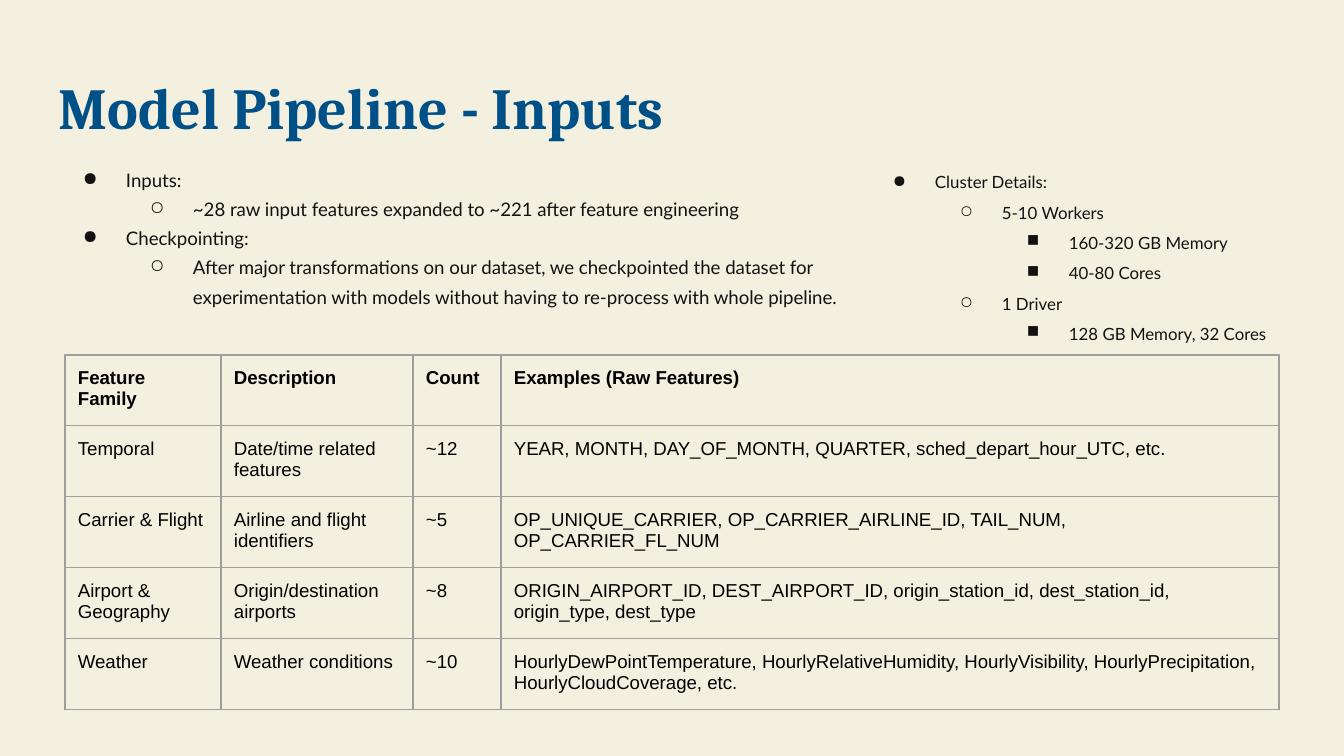
from dataclasses import dataclass

from lxml import etree
from pptx import Presentation
from pptx.dml.color import RGBColor
from pptx.enum.text import MSO_ANCHOR
from pptx.oxml.ns import qn
from pptx.util import Emu, Pt

TOP = MSO_ANCHOR.TOP
EMU_PER_PX = 914400 / 134.4
BULLETS = "●○■"
LEVEL_STEP = 67
CELL_MARGIN = 13


@dataclass(frozen=True)
class Theme:
    background: str = "F3F0DF"
    heading: str = "005088"
    body: str = "121212"
    table_text: str = "000000"
    grid: str = "9E9E9E"
    grid_width: float = 0.75
    heading_font: str = "Cambria"
    body_font: str = "Lato"
    table_font: str = "Arial"
    heading_size: float = 31.1
    body_size: float = 10
    cluster_size: float = 9


THEME = Theme()

INPUT_NOTES = [
    (0, "Inputs:"),
    (1, "~28 raw input features expanded to ~221 after feature engineering"),
    (0, "Checkpointing:"),
    (1, "After major transformations on our dataset, we checkpointed the dataset for "
        "experimentation with models without having to re-process with whole pipeline."),
]
CLUSTER_NOTES = [
    (0, "Cluster Details:"),
    (1, "5-10 Workers"),
    (2, "160-320 GB Memory"),
    (2, "40-80 Cores"),
    (1, "1 Driver"),
    (2, "128 GB Memory, 32 Cores"),
]
FEATURE_COLUMNS = [156, 192, 88, 778]
FEATURE_ROW_HEIGHT = 67
FEATURES = [
    ("Feature Family", "Description", "Count", "Examples (Raw Features)"),
    ("Temporal", "Date/time related features", "~12",
     "YEAR, MONTH, DAY_OF_MONTH, QUARTER, sched_depart_hour_UTC, etc."),
    ("Carrier & Flight", "Airline and flight identifiers", "~5",
     "OP_UNIQUE_CARRIER, OP_CARRIER_AIRLINE_ID, TAIL_NUM, OP_CARRIER_FL_NUM"),
    ("Airport & Geography", "Origin/destination airports", "~8",
     "ORIGIN_AIRPORT_ID, DEST_AIRPORT_ID, origin_station_id, dest_station_id, "
     "origin_type, dest_type"),
    ("Weather", "Weather conditions", "~10",
     "HourlyDewPointTemperature, HourlyRelativeHumidity, HourlyVisibility, "
     "HourlyPrecipitation, HourlyCloudCoverage, etc."),
]


def px(length):
    return Emu(round(length * EMU_PER_PX))


def apply_format(target, values):
    for name, value in values.items():
        setattr(target, name, value)


def margins():
    return {f"margin_{side}": px(CELL_MARGIN) for side in ("left", "top", "right", "bottom")}


def write(paragraph, text, font, size, color, bold=False):
    run = paragraph.add_run()
    run.text = text
    apply_format(run.font, {"name": font, "size": Pt(size), "bold": bold})
    run.font.color.rgb = RGBColor.from_string(color)


def add_text_frame(slide, left, top, width, height):
    frame = slide.shapes.add_textbox(px(left), px(top), px(width), px(height)).text_frame
    apply_format(frame, {"word_wrap": True, "vertical_anchor": TOP, **margins()})
    return frame


def add_heading(slide, text):
    heading = add_text_frame(slide, 46, 66, 1253, 84).paragraphs[0]
    heading.line_spacing = 0.9
    write(heading, text, THEME.heading_font, THEME.heading_size, THEME.heading, True)


def set_bullet(paragraph, level, hang):
    paragraph.level = level
    properties = paragraph._p.get_or_add_pPr()
    properties.set("marL", str(px(LEVEL_STEP * (level + 1))))
    properties.set("indent", str(-px(hang)))
    bullet_color = etree.SubElement(properties, qn("a:buClr"))
    etree.SubElement(bullet_color, qn("a:srgbClr"), val=THEME.body)
    etree.SubElement(properties, qn("a:buChar"), char=BULLETS[level])


def add_notes(slide, box, notes, size, line_spacing, hang):
    frame = add_text_frame(slide, *box)
    for index, (level, text) in enumerate(notes):
        note = frame.add_paragraph() if index else frame.paragraphs[0]
        set_bullet(note, level, hang)
        note.line_spacing = line_spacing
        write(note, text, THEME.body_font, size, THEME.body)


def set_borders(cell):
    properties = cell._tc.get_or_add_tcPr()
    for side in ("lnL", "lnR", "lnT", "lnB"):
        border = etree.SubElement(properties, qn(f"a:{side}"), w=str(Pt(THEME.grid_width)))
        fill = etree.SubElement(border, qn("a:solidFill"))
        etree.SubElement(fill, qn("a:srgbClr"), val=THEME.grid)


def add_feature_table(slide, left, top):
    table = slide.shapes.add_table(
        len(FEATURES), len(FEATURE_COLUMNS), px(left), px(top),
        px(sum(FEATURE_COLUMNS)), px(FEATURE_ROW_HEIGHT * len(FEATURES))).table
    apply_format(table, {"first_row": False, "horz_banding": False})
    for column, width in zip(table.columns, FEATURE_COLUMNS):
        column.width = px(width)
    for row_index, feature in enumerate(FEATURES):
        for column_index, text in enumerate(feature):
            cell = table.cell(row_index, column_index)
            apply_format(cell, {"vertical_anchor": TOP, **margins()})
            set_borders(cell)
            cell.fill.background()
            write(cell.text_frame.paragraphs[0], text, THEME.table_font,
                  THEME.body_size, THEME.table_text, row_index == 0)


def main():
    presentation = Presentation()
    apply_format(presentation, {"slide_width": px(1344), "slide_height": px(756)})
    slide = presentation.slides.add_slide(presentation.slide_layouts[6])
    slide.background.fill.solid()
    slide.background.fill.fore_color.rgb = RGBColor.from_string(THEME.background)
    add_heading(slide, "Model Pipeline - Inputs")
    add_notes(slide, (46, 149, 809, 206), INPUT_NOTES, THEME.body_size, 1.3, 43)
    add_notes(slide, (855, 149, 469, 206), CLUSTER_NOTES, THEME.cluster_size, 1.5, 42)
    add_feature_table(slide, 65, 355)
    presentation.save("out.pptx")


if __name__ == "__main__":
    main()
